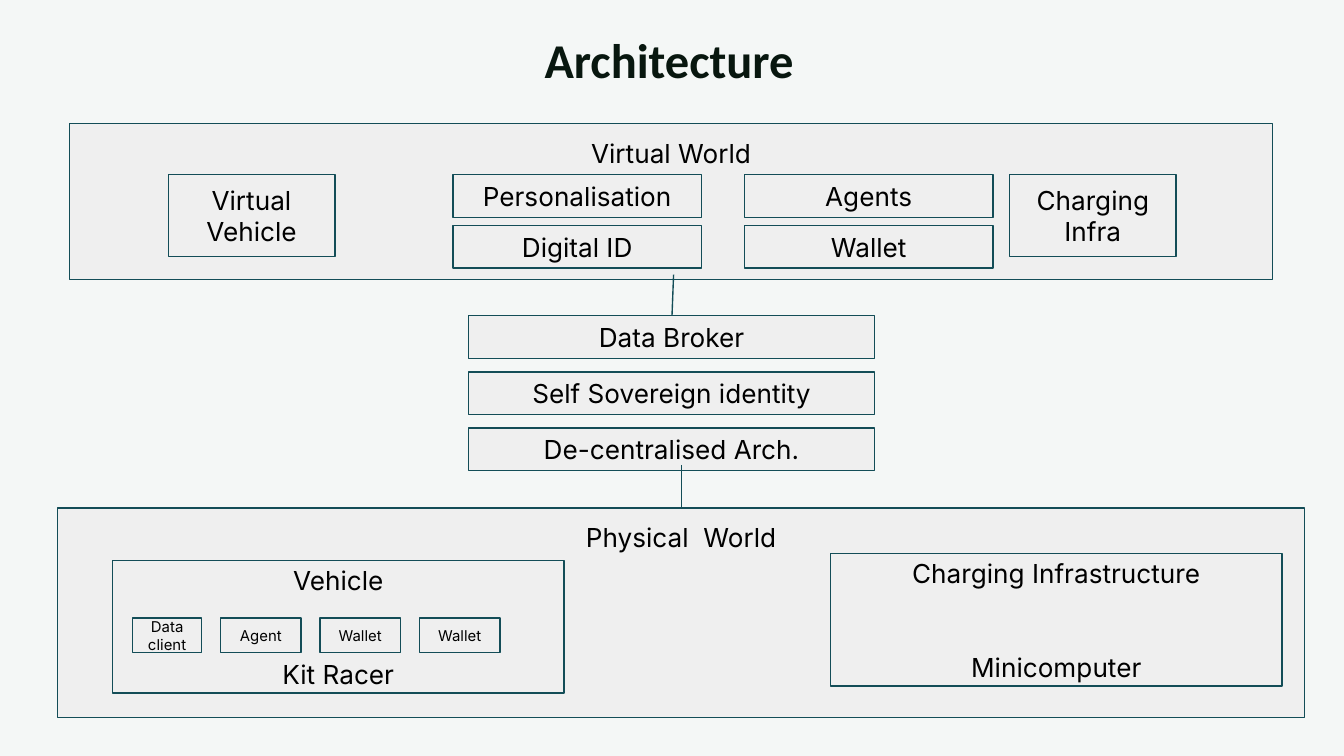
from lxml import etree
from pptx import Presentation
from pptx.dml.color import RGBColor
from pptx.enum import shapes, text
from pptx.oxml import ns
from pptx.util import Cm, Pt

HUES = {"back": "F4F7F6", "fill": "EFEFEF", "line": "134D57",
        "title": "08170F", "text": "000000"}
TOP = text.MSO_ANCHOR.TOP
MID = text.MSO_ANCHOR.MIDDLE


def hue(name):
    return RGBColor.from_string(HUES[name])


def write(frame, lines, size, face, color, anchor, bold=False, gap=0):
    frame.word_wrap = True
    frame.auto_size = text.MSO_AUTO_SIZE.NONE
    frame.vertical_anchor = anchor
    frame.margin_left = frame.margin_right = Cm(0.25)
    frame.margin_top = frame.margin_bottom = Cm(0.25)
    for i, line in enumerate(lines):
        para = frame.add_paragraph() if i else frame.paragraphs[0]
        para.alignment = text.PP_ALIGN.CENTER
        para.space_before = Pt(gap if i else 0)
        run = para.add_run()
        run.text = line
        run.font.name = face
        run.font.size = Pt(size)
        run.font.bold = bold
        run.font.color.rgb = hue(color)


def add_title(slide, label):
    title = slide.shapes.title
    title.left, title.top = Cm(0), Cm(0.31)
    title.width, title.height = Cm(25.3), Cm(1.55)
    write(title.text_frame, [label], 26, "Calibri", "title", TOP, bold=True)


def add_box(slide, lines, x, y, w, h, size=14, anchor=MID, gap=0):
    box = slide.shapes.add_shape(shapes.MSO_SHAPE.RECTANGLE,
                                 Cm(x), Cm(y), Cm(w), Cm(h))
    box.shadow.inherit = False
    box.fill.solid()
    box.fill.fore_color.rgb = hue("fill")
    box.line.color.rgb = hue("line")
    box.line.width = Pt(0.75)
    write(box.text_frame, lines, size, "Inter", "text", anchor, gap=gap)


def add_link(slide, x1, y1, x2, y2):
    link = slide.shapes.add_connector(shapes.MSO_CONNECTOR.STRAIGHT,
                                      Cm(x1), Cm(y1), Cm(x2), Cm(y2))
    link.line.color.rgb = hue("line")
    link.line.width = Pt(0.75)
    etree.SubElement(link._element.spPr, ns.qn("a:effectLst"))


def add_virtual(slide):
    add_box(slide, ["Virtual World"], 1.32, 2.34, 22.73, 2.95, anchor=TOP)
    for label, x in (("Virtual Vehicle", 3.18), ("Charging Infra", 19.08)):
        add_box(slide, [label], x, 3.3, 3.15, 1.55)
    grid = (("Personalisation", "Agents"), ("Digital ID", "Wallet"))
    for row, labels in enumerate(grid):
        for col, label in enumerate(labels):
            add_box(slide, [label], 8.56 + 5.51 * col, 3.3 + 0.96 * row,
                    4.7, 0.81)


def add_stack(slide):
    labels = ("Data Broker", "Self Sovereign identity", "De-centralised Arch.")
    for i, label in enumerate(labels):
        add_box(slide, [label], 8.86, 5.97 + 1.06 * i, 7.67, 0.81)


def add_physical(slide):
    add_box(slide, ["Physical  World"], 1.09, 9.6, 23.57, 3.96, anchor=TOP)
    sites = ((["Vehicle", "Kit Racer"], 2.13, 10.59),
             (["Charging Infrastructure", "Minicomputer"], 15.7, 10.46))
    for lines, x, y in sites:
        add_box(slide, lines, x, y, 8.53, 2.51, gap=33.6)
    add_box(slide, ["Data client"], 2.51, 11.68, 1.3, 0.66, size=8)
    for i, label in enumerate(("Agent", "Wallet", "Wallet")):
        add_box(slide, [label], 4.17 + 1.88 * i, 11.68, 1.52, 0.66, size=8)


def main():
    deck = Presentation()
    deck.slide_width, deck.slide_height = Cm(25.4), Cm(14.29)
    slide = deck.slides.add_slide(deck.slide_layouts[5])
    slide.background.fill.solid()
    slide.background.fill.fore_color.rgb = hue("back")
    add_title(slide, "Architecture")
    add_virtual(slide)
    add_stack(slide)
    add_physical(slide)
    add_link(slide, 12.88, 8.79, 12.88, 9.6)
    add_link(slide, 12.73, 5.19, 12.7, 5.97)
    deck.save("out.pptx")


if __name__ == "__main__":
    main()
